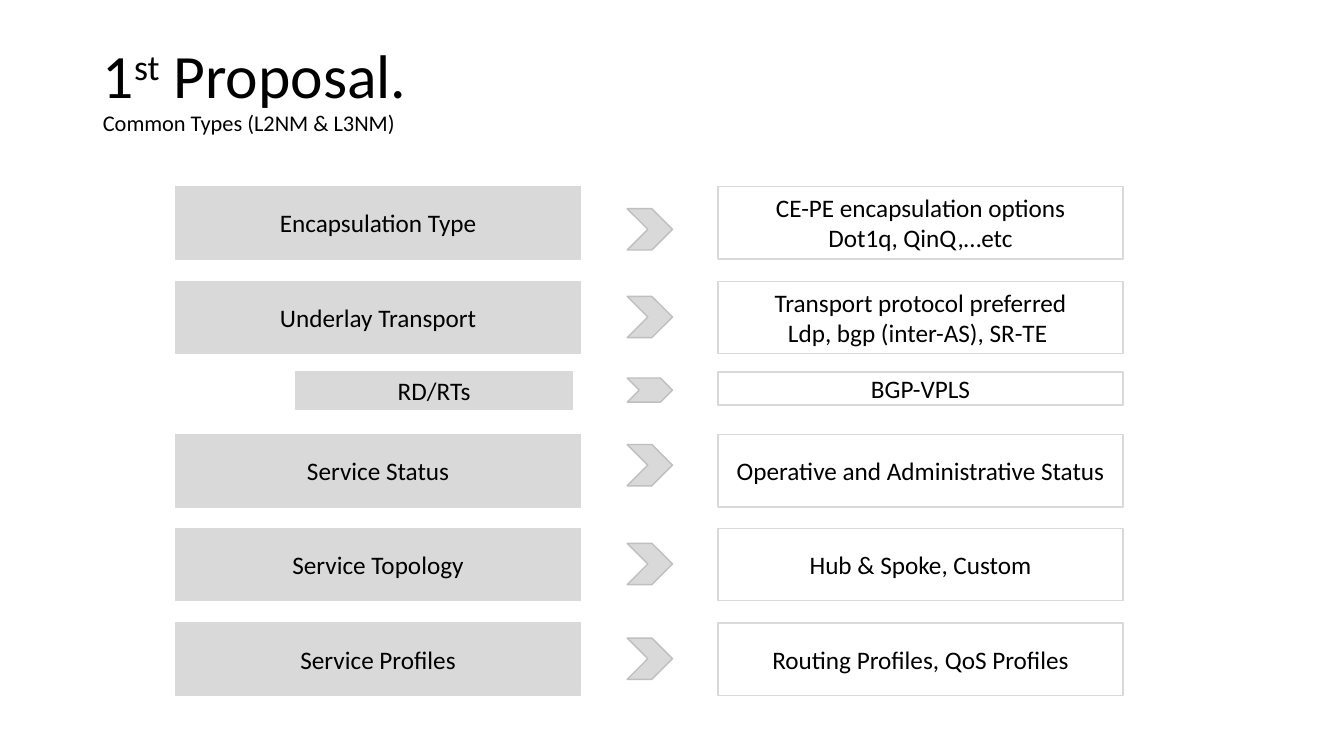
from dataclasses import dataclass

from pptx import Presentation
from pptx.dml.color import RGBColor
from pptx.enum.shapes import MSO_SHAPE
from pptx.enum.text import MSO_ANCHOR, MSO_AUTO_SIZE, PP_ALIGN
from pptx.util import Inches, Pt

BLACK, GREY, CHEVRON_EDGE = "000000", "D9D9D9", "BFBFBF"
TYPE_LEFT, DETAIL_LEFT, BOX_WIDTH = 1.74, 7.12, 4.02
CHEVRON_LEFT, CHEVRON_WIDTH = 6.22, 0.45


@dataclass(frozen=True)
class CommonType:
    """One row: a type, its chevron and its details; lengths in inches."""
    name: str
    details: tuple[str, ...]
    top: float
    chevron_top: float
    type_left: float = TYPE_LEFT
    type_width: float = BOX_WIDTH
    type_height: float = 0.72
    detail_height: float = 0.72
    chevron_height: float = 0.41


COMMON_TYPES = (
    CommonType("Encapsulation Type",
               ("CE-PE encapsulation options", "Dot1q, QinQ,…etc"), 1.85, 2.07),
    CommonType("Underlay Transport",
               ("Transport protocol preferred", "Ldp, bgp (inter-AS), SR-TE "),
               2.79, 2.94),
    CommonType("RD/RTs", ("BGP-VPLS",), 3.69, 3.75, type_left=2.93,
               type_width=2.75, type_height=0.37, detail_height=0.33,
               chevron_height=0.24),
    CommonType("Service Status", ("Operative and Administrative Status",), 4.31, 4.41),
    CommonType("Service Topology", ("Hub & Spoke, Custom",), 5.24, 5.39),
    CommonType("Service Profiles", ("Routing Profiles, QoS Profiles",), 6.18, 6.33),
)


def colour(code: str) -> RGBColor:
    """Turn a hex string into a colour."""
    return RGBColor.from_string(code)


def set_all(target, values: dict) -> None:
    """Set every attribute named in values on target."""
    for name, value in values.items():
        setattr(target, name, value)


def add_run(paragraph, text: str, size: int):
    """Add black Calibri text to a paragraph."""
    run = paragraph.add_run()
    run.text = text
    set_all(run.font, {"name": "Calibri", "size": Pt(size)})
    run.font.color.rgb = colour(BLACK)
    return run


def add_block(slide, kind: MSO_SHAPE, left: float, top: float, width: float,
              height: float, fill: str | None, edge: str,
              lines: tuple[str, ...] = ()) -> None:
    """Draw an outlined preset shape with centred lines of text."""
    block = slide.shapes.add_shape(kind, Inches(left), Inches(top),
                                   Inches(width), Inches(height))
    block.shadow.inherit = False
    if fill:
        block.fill.solid()
        block.fill.fore_color.rgb = colour(fill)
    else:
        block.fill.background()
    block.line.color.rgb = colour(edge)
    block.line.width = Pt(1)
    frame = block.text_frame
    set_all(frame, {"word_wrap": True, "vertical_anchor": MSO_ANCHOR.MIDDLE})
    for index, line in enumerate(lines):
        paragraph = frame.add_paragraph() if index else frame.paragraphs[0]
        paragraph.alignment = PP_ALIGN.CENTER
        add_run(paragraph, line, 18)


def add_heading(slide) -> None:
    """Fill the title placeholder with the heading and its subtitle."""
    title = slide.shapes.title
    set_all(title, {"left": Inches(0.92), "top": Inches(0.4),
                    "width": Inches(11.5), "height": Inches(1.45)})
    frame = title.text_frame
    set_all(frame, {"word_wrap": True, "auto_size": MSO_AUTO_SIZE.NONE,
                    "vertical_anchor": MSO_ANCHOR.TOP})
    heading, subtitle = frame.paragraphs[0], frame.add_paragraph()
    for paragraph in (heading, subtitle):
        set_all(paragraph, {"alignment": PP_ALIGN.LEFT, "line_spacing": 0.9})
    add_run(heading, "1", 44)
    ordinal = add_run(heading, "st", 44)
    ordinal.font._element.set("baseline", "30000")
    add_run(heading, " Proposal.", 44)
    add_run(subtitle, "Common Types (L2NM & L3NM)", 16)


def add_common_type(slide, row: CommonType) -> None:
    """Draw one type, its chevron and its details."""
    add_block(slide, MSO_SHAPE.RECTANGLE, row.type_left, row.top, row.type_width,
              row.type_height, GREY, GREY, (row.name,))
    add_block(slide, MSO_SHAPE.CHEVRON, CHEVRON_LEFT, row.chevron_top,
              CHEVRON_WIDTH, row.chevron_height, GREY, CHEVRON_EDGE)
    add_block(slide, MSO_SHAPE.RECTANGLE, DETAIL_LEFT, row.top, BOX_WIDTH,
              row.detail_height, None, GREY, row.details)


def main() -> None:
    """Build and save the slide."""
    deck = Presentation()
    set_all(deck, {"slide_width": Inches(13.33), "slide_height": Inches(7.5)})
    slide = deck.slides.add_slide(deck.slide_layouts.get_by_name("Title Only"))
    add_heading(slide)
    for row in COMMON_TYPES:
        add_common_type(slide, row)
    deck.save("out.pptx")


main()
